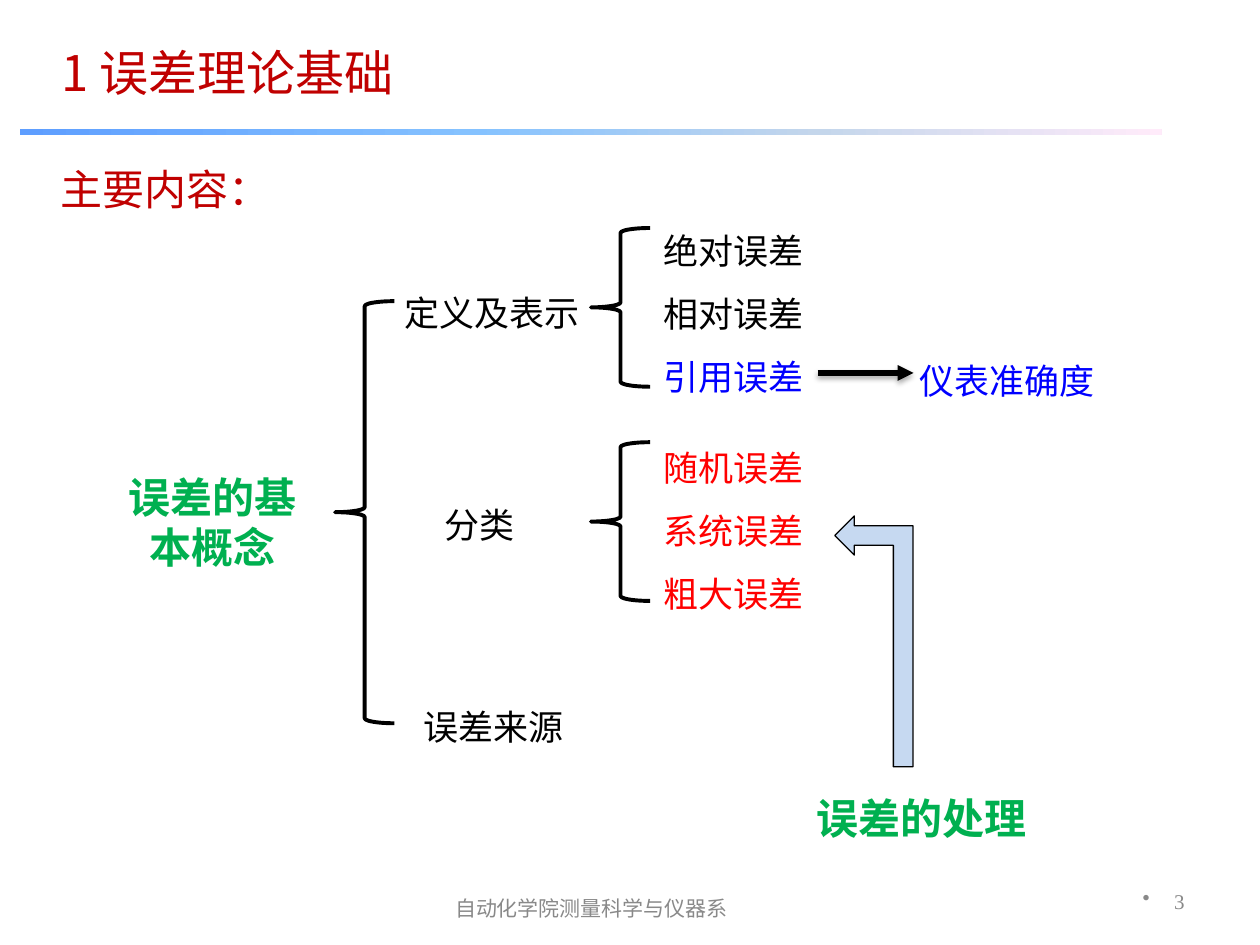
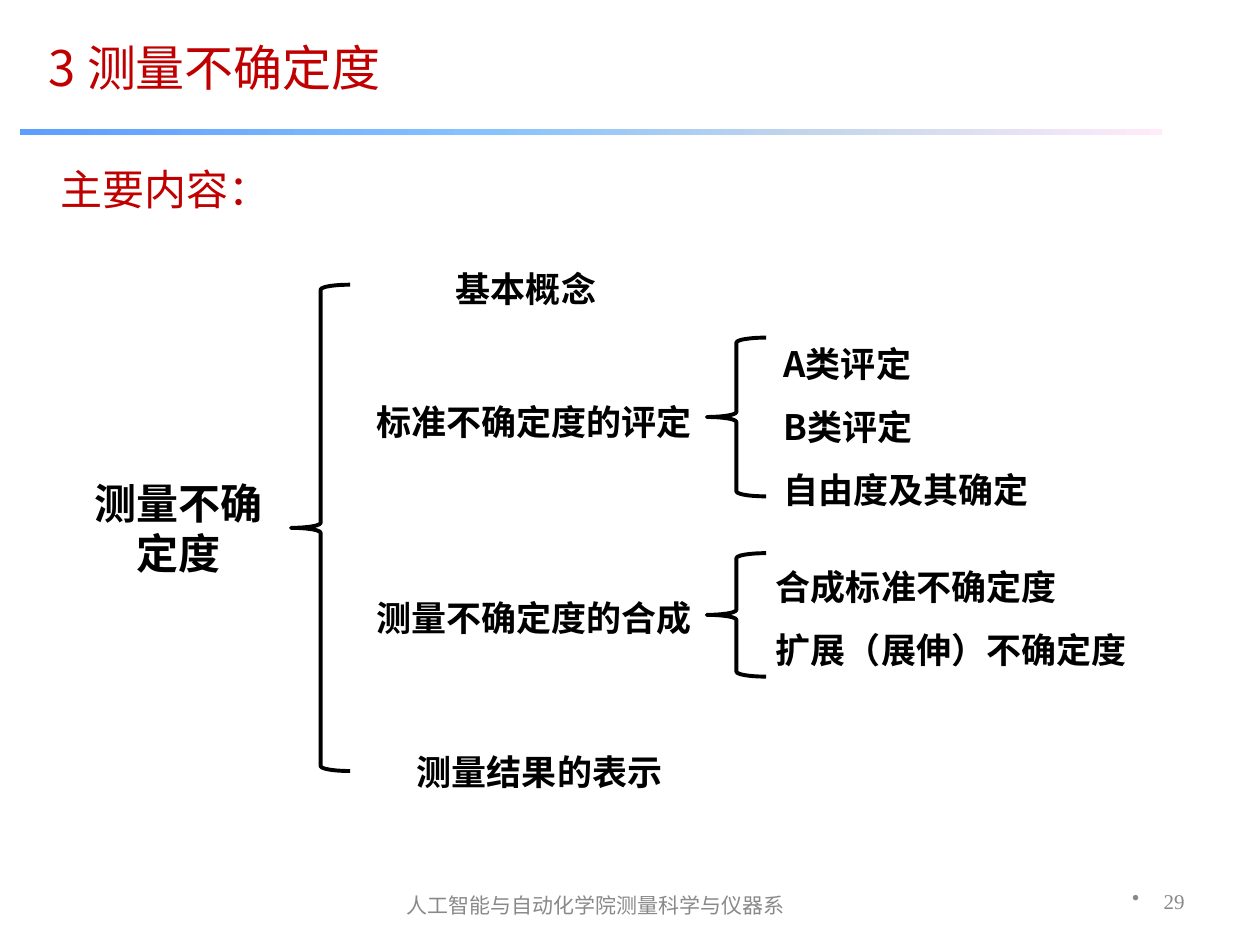
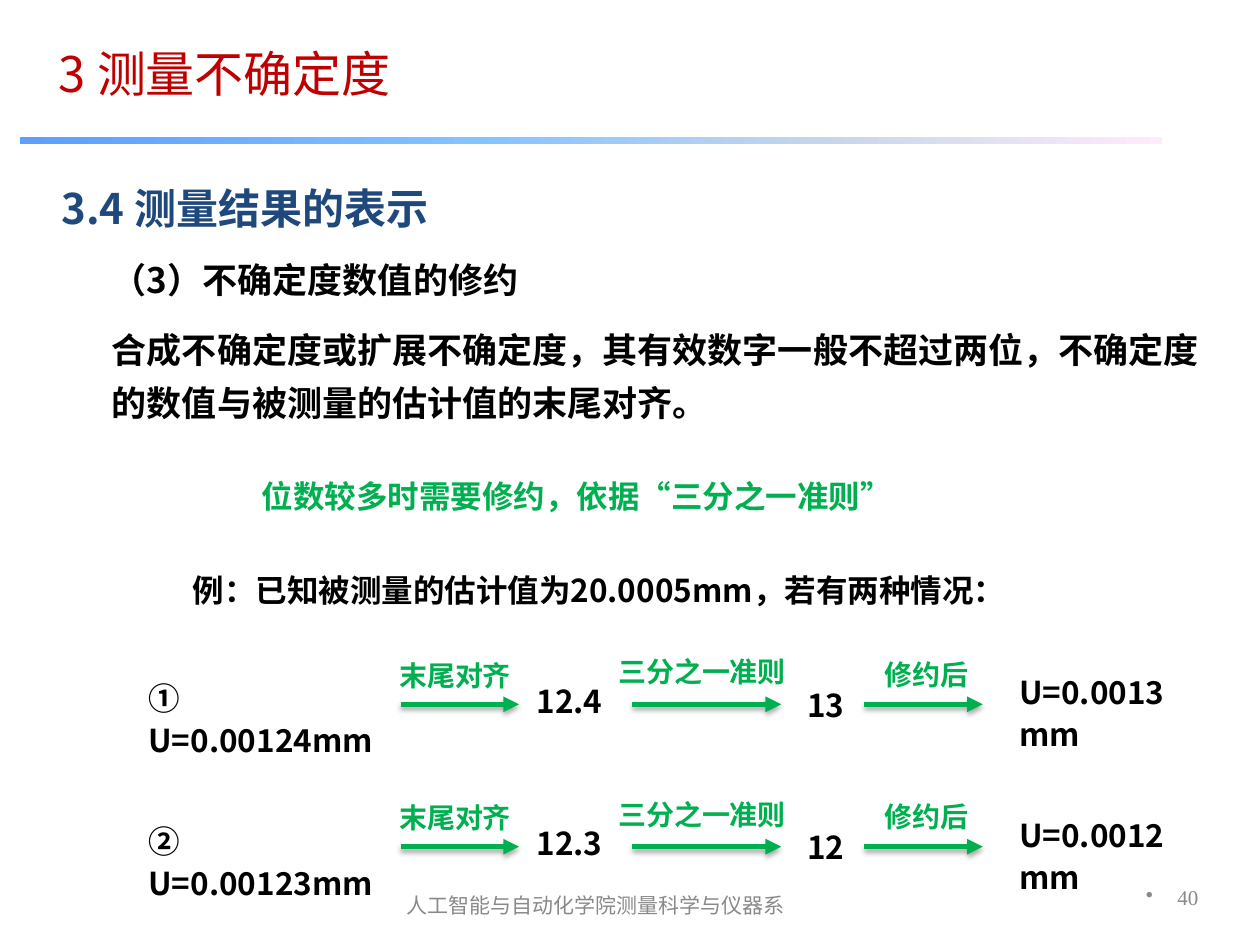
"""Build three lecture slides on error theory and measurement uncertainty."""
from dataclasses import dataclass

from lxml import etree
from pptx import Presentation
from pptx.dml.color import RGBColor
from pptx.enum.shapes import MSO_CONNECTOR, MSO_SHAPE
from pptx.enum.text import MSO_ANCHOR, PP_ALIGN
from pptx.oxml.ns import qn
from pptx.util import Inches, Pt

LEFT, CENTER, RIGHT = PP_ALIGN.LEFT, PP_ALIGN.CENTER, PP_ALIGN.RIGHT
TOP, MIDDLE = MSO_ANCHOR.TOP, MSO_ANCHOR.MIDDLE
RECTANGLE, LEFT_BRACE = MSO_SHAPE.RECTANGLE, MSO_SHAPE.LEFT_BRACE
BENT_UP_ARROW, STRAIGHT = MSO_SHAPE.BENT_UP_ARROW, MSO_CONNECTOR.STRAIGHT


@dataclass(frozen=True)
class Theme:
    """Colours, fonts and type sizes."""
    font: str = "Noto Sans CJK SC"
    footer_font: str = "Calibri"
    number_font: str = "Times New Roman"
    title: str = "C00000"
    section: str = "1F497D"
    ink: str = "000000"
    green: str = "00B050"
    blue: str = "0000FF"
    red: str = "FF0000"
    pale_blue: str = "C6D9F1"
    gray: str = "898989"
    band: tuple = ((0, "5E9EFF"), (40, "85C2FF"), (70, "C4D6EB"), (100, "FFEBFA"))
    title_size: int = 28
    heading_size: int = 24
    body_size: int = 20
    example_size: int = 18
    label_size: int = 16
    footer_size: int = 12


T = Theme()


def add_text(slide, box, lines, size=T.body_size, color=T.ink, bold=False, spacing=1.0,
             align=LEFT, anchor=TOP, font=T.font, bullet=None):
    frame = slide.shapes.add_textbox(*map(Inches, box)).text_frame
    frame.word_wrap = True
    frame.vertical_anchor = anchor
    frame.text = lines
    for paragraph in frame.paragraphs:
        properties = paragraph._p.get_or_add_pPr()
        if bullet:
            properties.set("marL", str(Inches(0.25)))
            properties.set("indent", str(-Inches(0.25)))
            etree.SubElement(properties, qn("a:buChar"), char=bullet)
        paragraph.alignment = align
        paragraph.line_spacing = spacing
        paragraph.font.size = Pt(size)
        paragraph.font.bold = bold
        paragraph.font.color.rgb = RGBColor.from_string(color)
        paragraph.font.name = font
        etree.SubElement(properties.find(qn("a:defRPr")), qn("a:ea"), typeface=T.font)
    return frame


def add_arrow(slide, start, end, y, color):
    arrow = slide.shapes.add_connector(STRAIGHT, Inches(start), Inches(y), Inches(end), Inches(y))
    arrow.line.width = Pt(3)
    arrow.line.color.rgb = RGBColor.from_string(color)
    etree.SubElement(arrow.line._get_or_add_ln(), qn("a:tailEnd"), type="triangle")
    effects = etree.SubElement(arrow._element.spPr, qn("a:effectLst"))
    shadow = etree.SubElement(effects, qn("a:outerShdw"), blurRad=str(Pt(3.1)),
                              dist=str(Pt(1.8)), dir="5400000", rotWithShape="0")
    shade = etree.SubElement(shadow, qn("a:srgbClr"), val=T.ink)
    etree.SubElement(shade, qn("a:alpha"), val="35000")


prs = Presentation()
prs.slide_width, prs.slide_height = Inches(10), Inches(7.5)
department = "自动化学院测量科学与仪器系"
full_department = "人工智能与" + department

for title, title_at, band_top, number, number_at, footer, footer_box in [
    ("1 误差理论基础", (0.39, 0.17), 1.02, "3", (7.17, 6.95), department, (3.11, 7.01, 3.17, 0.4)),
    ("3 测量不确定度", (0.29, 0.13), 1.02, "29", (7.17, 6.95), full_department, (3.11, 7.01, 3.24, 0.34)),
    ("3 测量不确定度", (0.37, 0.18), 1.09, "40", (7.28, 6.92), full_department, (3.11, 7.01, 3.24, 0.34)),
]:
    slide = prs.slides.add_slide(prs.slide_layouts[6])
    add_text(slide, (*title_at, 3.74, 0.71), title, T.title_size, T.title, spacing=1.25)
    band = slide.shapes.add_shape(RECTANGLE, *map(Inches, (0.16, band_top, 9.06, 0.05)))
    band.shadow.inherit = False
    band.line.fill.background()
    band.fill.gradient()
    band.fill.gradient_angle = 0
    stops = band._element.spPr.find(qn("a:gradFill")).find(qn("a:gsLst"))
    stops.clear()
    for position, shade in T.band:
        stop = etree.SubElement(stops, qn("a:gs"), pos=str(position * 1000))
        etree.SubElement(stop, qn("a:srgbClr"), val=shade)
    add_text(slide, (*number_at, 2.33, 0.4), number, T.footer_size, T.gray, align=RIGHT,
             anchor=MIDDLE, font=T.number_font, bullet="•")
    add_text(slide, footer_box, footer, T.footer_size, T.gray, align=CENTER,
             anchor=MIDDLE, font=T.footer_font)

errors, uncertainty, rounding = prs.slides

for slide, braces in [
    (errors, [(2.66, 2.39, 3.35), (4.69, 1.81, 1.26), (4.69, 3.51, 1.26)]),
    (uncertainty, [(2.31, 2.26, 3.86), (5.61, 2.68, 1.26), (5.61, 4.39, 0.98)]),
]:
    add_text(slide, (0.38, 1.15, 3.74, 0.71), "主要内容：", T.heading_size, T.title, spacing=1.25)
    for left, top, height in braces:
        brace = slide.shapes.add_shape(LEFT_BRACE, *map(Inches, (left, top, 0.47, height)))
        brace.shadow.inherit = False
        brace.fill.background()
        brace.line.color.rgb = RGBColor.from_string(T.ink)
        brace.line.width = Pt(2.25)

add_text(errors, (0.84, 3.69, 1.69, 0.91), "误差的基本概念", T.heading_size, T.green, True, align=CENTER)
add_text(errors, (6.38, 6.24, 1.92, 0.51), "误差的处理", T.heading_size, T.green, True)
for box, topic, color in [
    ((3.11, 2.1, 1.8, 0.61), "定义及表示", T.ink),
    ((3.43, 3.78, 0.93, 0.61), "分类", T.ink),
    ((3.26, 5.38, 1.54, 0.53), "误差来源", T.ink),
    ((7.2, 2.64, 1.8, 0.53), "仪表准确度", T.blue),
    ((5.17, 3.33, 1.46, 1.62), "随机误差\n系统误差\n粗大误差", T.red),
]:
    add_text(errors, box, topic, color=color, spacing=1.5)
definitions = add_text(errors, (5.17, 1.61, 1.46, 1.54), "绝对误差\n相对误差\n引用误差", spacing=1.5)
definitions.paragraphs[2].font.color.rgb = RGBColor.from_string(T.blue)
add_arrow(errors, 6.49, 7.25, 2.96, T.ink)

treatment = errors.shapes.add_shape(BENT_UP_ARROW, *map(Inches, (5.94, 4.78, 1.99, 0.62)))
treatment.rotation = 270
treatment.shadow.inherit = False
treatment.fill.solid()
treatment.fill.fore_color.rgb = RGBColor.from_string(T.pale_blue)
treatment.line.color.rgb = RGBColor.from_string(T.ink)
treatment.line.width = Pt(0.75)

add_text(uncertainty, (0.57, 3.74, 1.69, 0.91), "测量不确定度", T.heading_size, bold=True, align=CENTER)
for box, topic, spacing in [
    ((3.52, 1.91, 1.8, 0.53), "基本概念", 1.5),
    ((2.89, 2.96, 2.75, 0.53), "标准不确定度的评定", 1.5),
    ((2.89, 4.52, 2.95, 0.53), "测量不确定度的合成", 1.5),
    ((3.21, 5.82, 2.42, 0.79), "测量结果的表示", 1.25),
    ((6.12, 2.5, 2.24, 1.54), "A类评定\nB类评定\n自由度及其确定", 1.5),
    ((6.06, 4.27, 3.16, 1.11), "合成标准不确定度\n扩展（展伸）不确定度", 1.5),
]:
    add_text(uncertainty, box, topic, bold=True, spacing=spacing)

add_text(rounding, (0.39, 1.3, 5.94, 0.79), "3.4 测量结果的表示", T.heading_size, T.section, True, 1.25)
rule = add_text(
    rounding, (0.79, 1.92, 9.1, 1.52),
    "（3）不确定度数值的修约\n"
    "合成不确定度或扩展不确定度，其有效数字一般不超过两位，不确定度的数值与被测量的估计值的末尾对齐。",
    bold=True, spacing=1.25)
rule.paragraphs[1].space_before = Pt(10)
add_text(rounding, (1.98, 3.7, 5.51, 0.44), "位数较多时需要修约，依据“三分之一准则”",
         T.example_size, T.green, True, Pt(24))
add_text(rounding, (1.43, 4.45, 7.24, 0.63), "例：已知被测量的估计值为20.0005mm，若有两种情况：",
         T.example_size, bold=True, spacing=Pt(24))

for row, (given, aligned, rounded, result) in enumerate([
    ("① U=0.00124mm", "12.4", "13", "U=0.0013mm"),
    ("② U=0.00123mm", "12.3", "12", "U=0.0012mm"),
]):
    drop = row * 1.13
    for left, top, width, value in [(1.08, 5.31, 2.09, given), (4.16, 5.33, 0.87, aligned),
                                    (6.31, 5.36, 0.87, rounded), (7.99, 5.26, 1.59, result)]:
        add_text(rounding, (left, top + drop, width, 0.45), value, T.example_size,
                 bold=True, spacing=Pt(24))
    for left, top, width, step, align, start, end in [
        (3.07, 5.11, 1.21, "末尾对齐", LEFT, 3.18, 4.12),
        (4.81, 5.08, 1.6, "三分之一准则", LEFT, 5.02, 6.2),
        (6.75, 5.1, 1.21, "修约后", CENTER, 6.86, 7.8),
    ]:
        add_text(rounding, (left, top + drop, width, 0.45), step, T.label_size, T.green,
                 True, Pt(24), align)
        add_arrow(rounding, start, end, 5.59 + drop, T.green)

prs.save("out.pptx")
